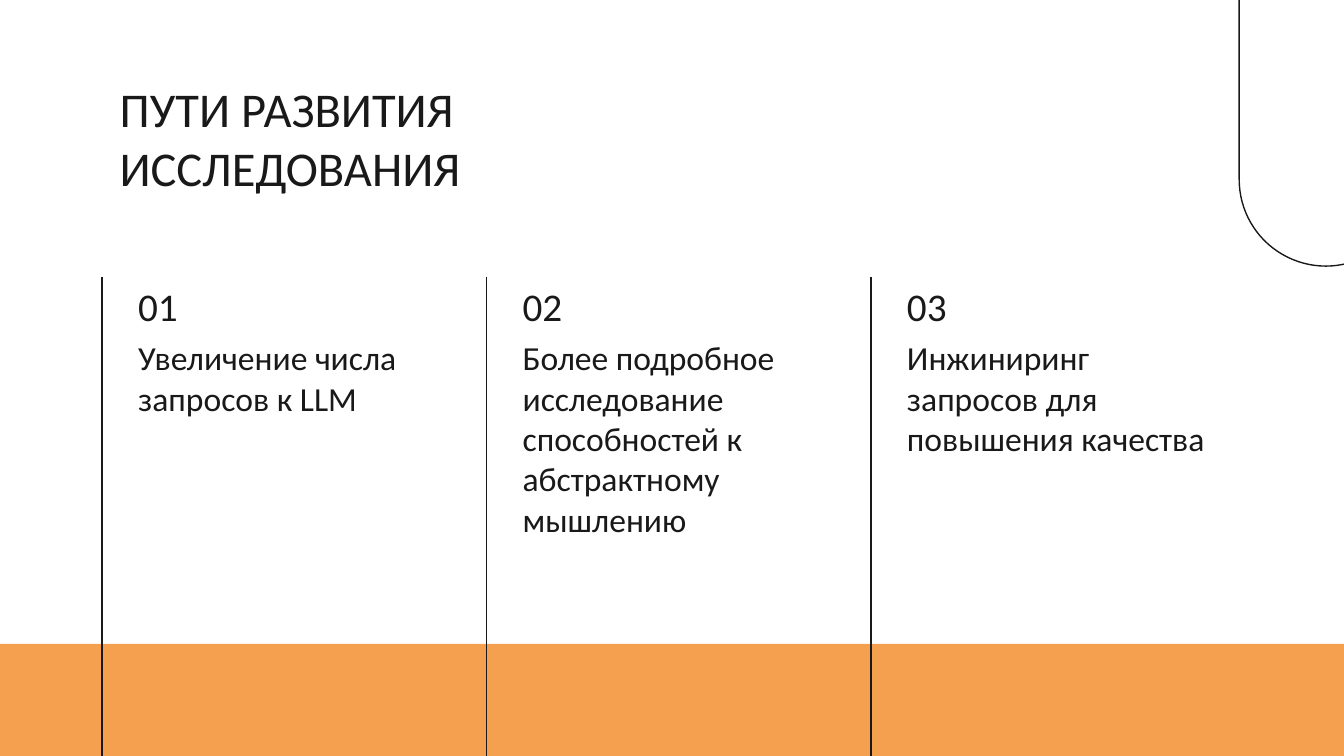
from pptx import Presentation
from pptx.dml.color import RGBColor
from pptx.enum.shapes import MSO_CONNECTOR, MSO_SHAPE
from pptx.enum.text import MSO_ANCHOR, MSO_AUTO_SIZE, PP_ALIGN
from pptx.oxml.ns import qn
from pptx.util import Inches, Pt
from lxml.etree import SubElement

TITLE = "ПУТИ РАЗВИТИЯ ИССЛЕДОВАНИЯ"
DIRECTIONS = [
    ("01", "Увеличение числа запросов к LLM"),
    ("02", "Более подробное исследование способностей к абстрактному мышлению"),
    ("03", "Инжиниринг запросов для повышения качества"),
]

INK = RGBColor(0x19, 0x19, 0x19)
ORANGE = RGBColor(0xF5, 0xA0, 0x4F)
WHITE = RGBColor(0xFF, 0xFF, 0xFF)
FONT = "Calibri"

WIDTH, HEIGHT = 10, 5.625
BAND_TOP = 4.79
COLUMN_LEFT, COLUMN_STEP, COLUMN_TOP = 0.76, 2.86, 2.06
TEXT_INDENT, TEXT_WIDTH = 0.17, 2.52
INSET = 0.1


def write(holder, wording, size, anchor=MSO_ANCHOR.TOP):
    frame = holder.text_frame
    frame.word_wrap = True
    frame.auto_size = MSO_AUTO_SIZE.NONE
    frame.vertical_anchor = anchor
    frame.margin_left = frame.margin_right = Inches(INSET)
    frame.margin_top = frame.margin_bottom = Inches(INSET)
    paragraph = frame.paragraphs[0]
    paragraph.alignment = PP_ALIGN.LEFT
    run = paragraph.add_run()
    run.text = wording
    run.font.name = FONT
    run.font.size = Pt(size)
    run.font.color.rgb = INK


def add_label(slide, box, wording, size, anchor=MSO_ANCHOR.TOP):
    write(slide.shapes.add_textbox(*map(Inches, box)), wording, size, anchor)


def add_divider(slide, x):
    divider = slide.shapes.add_connector(
        MSO_CONNECTOR.STRAIGHT, *map(Inches, (x, COLUMN_TOP, x, HEIGHT)))
    divider.line.color.rgb = INK
    divider.line.width = Pt(0.75)
    SubElement(divider._element.spPr, qn("a:effectLst"))


def add_decor(slide):
    band = slide.shapes.add_shape(
        MSO_SHAPE.RECTANGLE, *map(Inches, (0, BAND_TOP, WIDTH, HEIGHT - BAND_TOP)))
    band.shadow.inherit = False
    band.fill.solid()
    band.fill.fore_color.rgb = ORANGE
    band.line.fill.background()

    capsule = slide.shapes.add_shape(
        MSO_SHAPE.ROUNDED_RECTANGLE, *map(Inches, (9.22, -2.54, 1.29, 4.52)))
    capsule.adjustments[0] = 0.5
    capsule.shadow.inherit = False
    capsule.fill.background()
    capsule.line.color.rgb = INK
    capsule.line.width = Pt(0.75)


def main():
    """Build the slide with three directions for further research."""
    deck = Presentation()
    deck.slide_width, deck.slide_height = Inches(WIDTH), Inches(HEIGHT)
    slide = deck.slides.add_slide(deck.slide_layouts[5])
    slide.background.fill.solid()
    slide.background.fill.fore_color.rgb = WHITE
    add_decor(slide)

    heading = slide.shapes.title
    heading.left, heading.top = Inches(0.79), Inches(0.49)
    heading.width, heading.height = Inches(3.5), Inches(1.4)
    write(heading, TITLE, 26)

    for column, (number, direction) in enumerate(DIRECTIONS):
        x = COLUMN_LEFT + column * COLUMN_STEP
        text_left = x + TEXT_INDENT
        add_divider(slide, x)
        add_label(slide, (text_left, COLUMN_TOP, 0.8, 0.49), number, 21, MSO_ANCHOR.BOTTOM)
        add_label(slide, (text_left, COLUMN_TOP + 0.35, TEXT_WIDTH, 0.8), direction, 18)

    deck.save("out.pptx")


if __name__ == "__main__":
    main()
